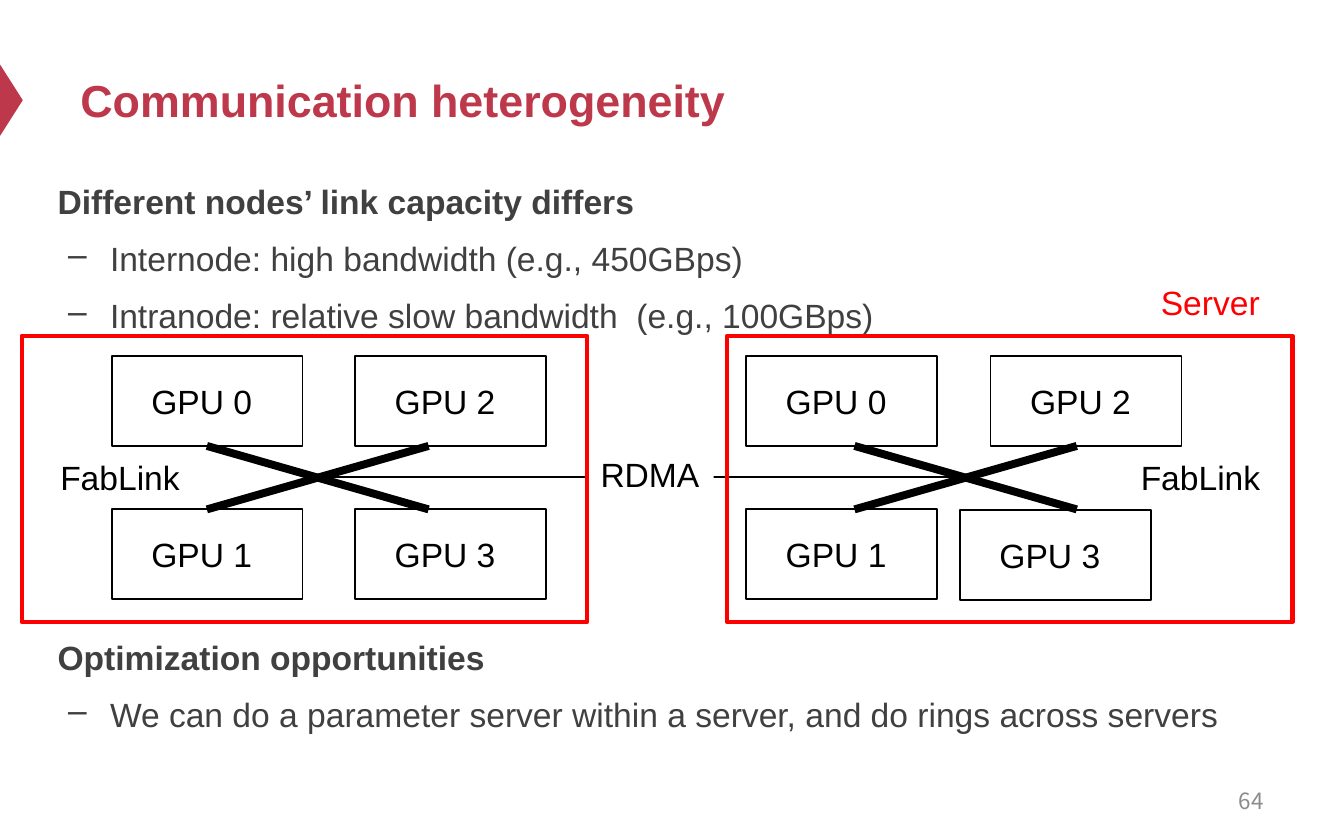
from dataclasses import dataclass

from lxml import etree
from pptx import Presentation
from pptx import util as u
from pptx.dml.color import RGBColor
from pptx.enum import shapes, text
from pptx.oxml import ns


@dataclass(frozen=True)
class Theme:
    accent: str = "BE384B"
    body: str = "404040"
    ink: str = "000000"
    server: str = "FF0000"
    number: str = "8C8C8C"
    paper: str = "FFFFFF"
    font: str = "Arial"
    number_font: str = "Noto Sans CJK SC"
    title_size: float = 24
    text_size: float = 18
    number_size: float = 12


THEME = Theme()
GPU_SIZE = (3.61, 1.7)
SERVER_SIZE = (10.69, 5.41)
LABEL_SIZE = (3.5, 1.02)
LINK_TOP, LINK_BOTTOM = 8.43, 9.63


def cm(*lengths):
    return [u.Cm(length) for length in lengths]


def style(paragraph, color, size=THEME.text_size, bold=False, font=THEME.font):
    for run in paragraph.runs:
        run.font.name = font
        run.font.size = u.Pt(size)
        run.font.bold = bold
        run.font.color.rgb = RGBColor.from_string(color)


def add_label(slide, words, box, color=THEME.ink, align=text.PP_ALIGN.LEFT, **font):
    label = slide.shapes.add_textbox(*cm(*box))
    frame = label.text_frame
    frame.word_wrap = True
    frame.vertical_anchor = text.MSO_ANCHOR.MIDDLE
    frame.text = words
    frame.paragraphs[0].alignment = align
    style(frame.paragraphs[0], color, **font)


def add_section(slide, top, height, heading, points):
    """Bold heading followed by dashed points."""
    section = slide.shapes.add_textbox(*cm(0.84, top, 22.86, height))
    frame = section.text_frame
    frame.word_wrap = True
    frame.text = "\n".join([heading, *points])
    for index, paragraph in enumerate(frame.paragraphs):
        paragraph.line_spacing = 1.2
        if index:
            properties = paragraph._p.get_or_add_pPr()
            properties.set("marL", str(u.Cm(0.99)))
            properties.set("indent", str(u.Cm(-0.79)))
            etree.SubElement(properties, ns.qn("a:buChar")).set("char", "–")
            paragraph.space_before = u.Pt(4.6)
        style(paragraph, THEME.body, bold=index == 0)


def add_block(slide, box, kind=shapes.MSO_SHAPE.RECTANGLE, fill=None, line=None, width=1):
    block = slide.shapes.add_shape(kind, *cm(*box))
    block.shadow.inherit = False
    if fill:
        block.fill.solid()
        block.fill.fore_color.rgb = RGBColor.from_string(fill)
    else:
        block.fill.background()
    if line:
        block.line.color.rgb = RGBColor.from_string(line)
        block.line.width = u.Pt(width)
    else:
        block.line.fill.background()
    return block


def write_in(block, words, inset=0.25):
    frame = block.text_frame
    frame.margin_left = u.Cm(inset)
    frame.vertical_anchor = text.MSO_ANCHOR.MIDDLE
    frame.text = words
    frame.paragraphs[0].alignment = text.PP_ALIGN.LEFT
    style(frame.paragraphs[0], THEME.ink)


def add_link(slide, start, end, width):
    link = slide.shapes.add_connector(shapes.MSO_CONNECTOR.STRAIGHT, *cm(*start, *end))
    link.line.color.rgb = RGBColor.from_string(THEME.ink)
    link.line.width = u.Pt(width)
    etree.SubElement(link._element.spPr, ns.qn("a:effectLst"))


def add_gpus(slide, positions):
    for number, position in enumerate(positions):
        gpu = add_block(slide, (*position, *GPU_SIZE), line=THEME.ink)
        write_in(gpu, f"GPU {number}", inset=0.75)


def add_cross_links(slide, left, right):
    add_link(slide, (left, LINK_TOP), (right, LINK_BOTTOM), 4.25)
    add_link(slide, (left, LINK_BOTTOM), (right, LINK_TOP), 4.25)


def main():
    deck = Presentation()
    deck.slide_width, deck.slide_height = cm(25.4, 15.88)
    slide = deck.slides.add_slide(deck.slide_layouts[6])

    marker = add_block(slide, (-0.46, 1.68, 1.35, 0.43),
                       shapes.MSO_SHAPE.ISOSCELES_TRIANGLE, fill=THEME.accent)
    marker.rotation = 90
    add_label(slide, "Communication heterogeneity", (1.27, 0.64, 22.86, 2.49),
              THEME.accent, size=THEME.title_size, bold=True)
    add_section(slide, 3.15, 3.2, "Different nodes’ link capacity differs", [
        "Internode: high bandwidth (e.g., 450GBps)",
        "Intranode: relative slow bandwidth  (e.g., 100GBps)",
    ])
    add_section(slide, 11.77, 2.2, "Optimization opportunities", [
        "We can do a parameter server within a server, and do rings across servers",
    ])
    add_label(slide, "64", (18.21, 14.71, 5.92, 0.84), THEME.number,
              text.PP_ALIGN.RIGHT, size=THEME.number_size, font=THEME.number_font)

    upper, lower = 6.73, 9.63
    add_gpus(slide, [(2.11, upper), (2.11, lower), (6.71, upper), (6.71, lower)])
    add_gpus(slide, [(14.1, upper), (14.1, lower), (18.72, upper), (18.14, 9.65)])
    add_cross_links(slide, 3.91, 8.1)
    add_cross_links(slide, 16.15, 20.35)

    add_link(slide, (6.02, 9.02), (18.11, 9.02), 1)
    network = add_block(slide, (11.1, 8.46, 2.39, 1.02), fill=THEME.paper)
    write_in(network, "RDMA")

    for left in (0.89, 21.31):
        add_label(slide, "FabLink", (left, 8.51, *LABEL_SIZE))
    for left in (0.41, 13.74):
        add_block(slide, (left, 6.35, *SERVER_SIZE), line=THEME.server, width=2.25)
    add_label(slide, "Server", (21.69, 5.21, *LABEL_SIZE), THEME.server)

    deck.save("out.pptx")


if __name__ == "__main__":
    main()
